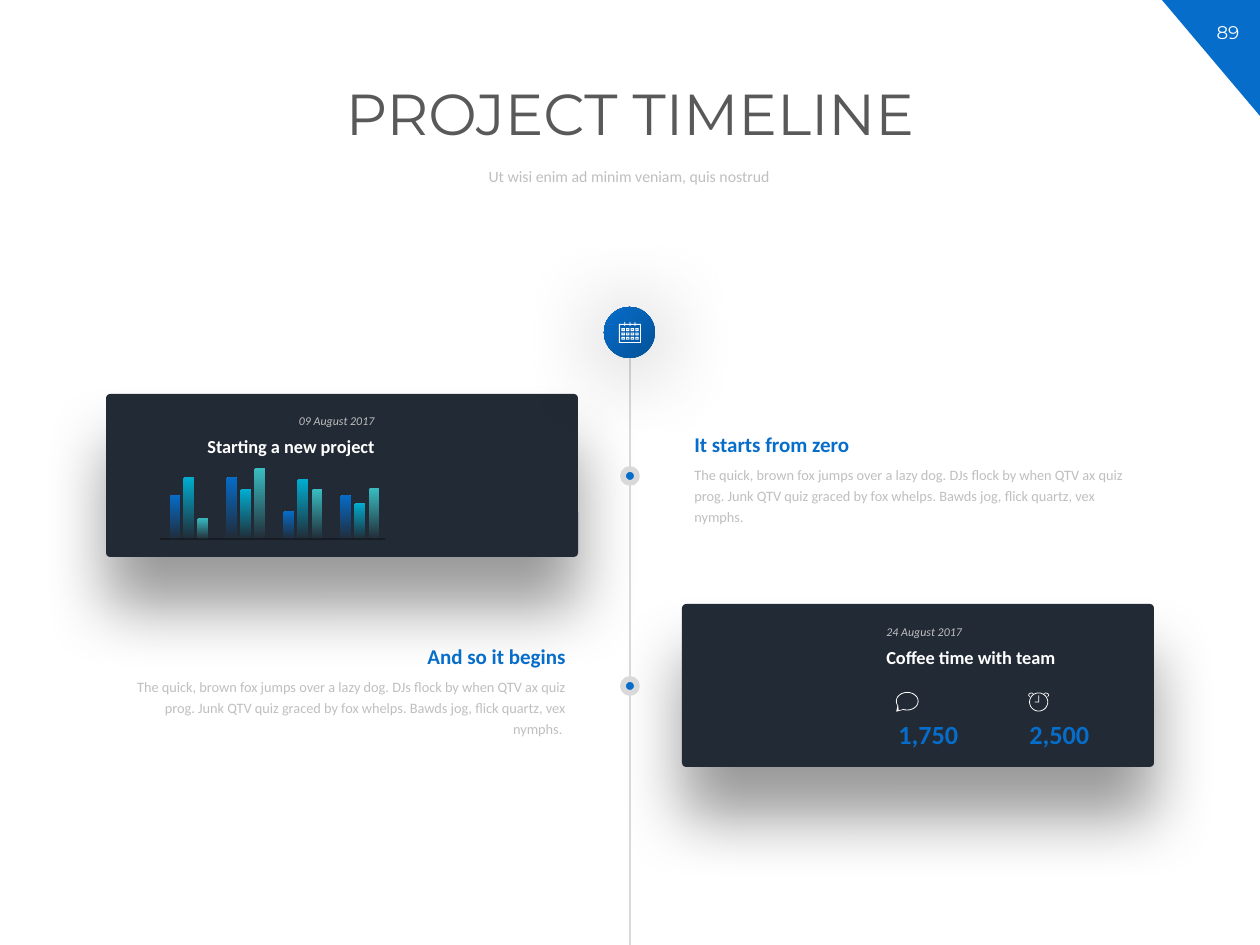
from math import cos, radians, sin

from lxml import etree
from pptx import Presentation
from pptx import util as u
from pptx.dml.color import RGBColor
from pptx.enum import shapes, text
from pptx.oxml import ns

PX = 914400 / 126
COLORS = {
    "blue": "066DCA", "deep blue": "055298", "cyan": "00B0D3", "teal": "3ABFC4",
    "card": "222A35", "baseline": "171C24", "heading": "595959",
    "muted": "BFBFBF", "rule": "D9D9D9", "white": "FFFFFF",
}
RGB = {name: RGBColor.from_string(value) for name, value in COLORS.items()}
LEFT, CENTER, RIGHT = text.PP_ALIGN.LEFT, text.PP_ALIGN.CENTER, text.PP_ALIGN.RIGHT
KIND = shapes.MSO_SHAPE

presentation = Presentation()
presentation.slide_width, presentation.slide_height = u.Inches(10), u.Inches(7.5)
slide = presentation.slides.add_slide(presentation.slide_layouts[6])


def add_text(words, box, size, color, align=LEFT, spacing=1.2, font="Calibri",
             bold=False, italic=False):
    text_box = slide.shapes.add_textbox(*(round(value * PX) for value in box))
    frame = text_box.text_frame
    frame.word_wrap = True
    paragraph = frame.paragraphs[0]
    paragraph.alignment, paragraph.line_spacing = align, spacing
    run = paragraph.add_run()
    run.text = words
    run.font.name, run.font.size = font, u.Pt(size)
    run.font.bold, run.font.italic = bold, italic
    run.font.color.rgb = RGB[color]
    return frame


def add_icon(contours, left, top):
    """Draw closed contours, given in tenths of a px, as one white outline."""
    builder = slide.shapes.build_freeform(*contours[0][0], scale=PX / 10)
    for index, contour in enumerate(contours):
        if index:
            builder.move_to(*contour[0])
        builder.add_line_segments(contour[1:], close=True)
    icon = builder.convert_to_shape(round(left * PX), round(top * PX))
    icon.shadow.inherit = False
    icon.fill.solid()
    icon.fill.fore_color.rgb = RGB["white"]
    icon.line.fill.background()


# Solid shapes: page corner and the two event cards
solids = []
for kind, box, color in (
    (KIND.RIGHT_TRIANGLE, (1162, 0, 98, 116), "blue"),
    (KIND.ROUNDED_RECTANGLE, (682, 604, 472, 163), "card"),
    (KIND.ROUNDED_RECTANGLE, (106, 394, 472, 163), "card"),
):
    shape = slide.shapes.add_shape(kind, *(round(value * PX) for value in box))
    shape.shadow.inherit = False
    shape.fill.solid()
    shape.fill.fore_color.rgb = RGB[color]
    shape.line.fill.background()
    solids.append(shape)
corner, *cards = solids
corner.rotation = 180
for card in cards:
    card.adjustments[0] = 0.026

# Timeline axis and chart baseline
for ends, color, width in (
    ((630, 333, 630, 945), "rule", 1.25),
    ((160, 539, 385, 539), "baseline", 1),
):
    line = slide.shapes.add_connector(
        shapes.MSO_CONNECTOR.STRAIGHT, *(round(value * PX) for value in ends))
    line.line.color.rgb = RGB[color]
    line.line.width = u.Pt(width)
    etree.SubElement(line._element.spPr, ns.qn("a:effectLst"))

# Timeline markers
for top in (469, 679):
    marker = slide.shapes.add_shape(
        KIND.OVAL, *(round(value * PX) for value in (623, top, 14, 14)))
    marker.shadow.inherit = False
    marker.fill.solid()
    marker.fill.fore_color.rgb = RGB["blue"]
    marker.line.color.rgb = RGB["rule"]
    marker.line.width = u.Pt(3.25)

# Titles and page number
add_text("89", (1196, 15, 64, 35), 10.5, "white", CENTER, 1, "Montserrat")
add_text("PROJECT TIMELINE", (72, 79, 1116, 92), 33, "heading", CENTER, 0.9, "Montserrat")
subtitle = add_text("Ut wisi enim ad minim veniam, quis nostrud",
                    (175, 161, 908, 33), 9, "muted", CENTER, 0.9)
subtitle.vertical_anchor = text.MSO_ANCHOR.MIDDLE

# Event descriptions
STORY = ("The quick, brown fox jumps over a lazy dog. DJs flock by when QTV ax quiz prog. "
         "Junk QTV quiz graced by fox whelps. Bawds jog, flick quartz, vex nymphs.")
for heading, story, left, top, align in (
    ("It starts from zero", STORY, 682, 420, LEFT),
    ("And so it begins", STORY + " ", 106, 632, RIGHT),
):
    add_text(heading, (left, top, 472, 43), 12, "blue", align, bold=True)
    add_text(story, (left, top + 37, 472, 76), 8.2, "muted", align)

# Card captions
for date, event, left, top, align in (
    ("09 August 2017", "Starting a new project", 121, 405, RIGHT),
    ("24 August 2017", "Coffee time with team", 874, 616, LEFT),
):
    add_text(date, (left, top, 266, 30), 6.8, "muted", align, italic=True)
    add_text(event, (left, top + 20, 266, 39), 10.5, "white", align, bold=True)
for count, left in (("1,750", 886), ("2,500", 1017)):
    add_text(count, (left, 712, 112, 44), 15, "blue", spacing=1, bold=True)

# Bars fading towards the baseline
BAR_HEIGHTS = ((43, 61, 20), (61, 49, 70), (27, 59, 49), (43, 35, 50))
for group, heights in enumerate(BAR_HEIGHTS):
    for series, (height, color) in enumerate(zip(heights, ("blue", "cyan", "teal"))):
        box = (170 + 57 * group + 14 * series, 539 - height, 9, height)
        bar = slide.shapes.add_shape(
            KIND.ROUND_2_SAME_RECTANGLE, *(round(value * PX) for value in box))
        bar.shadow.inherit = False
        bar.line.fill.background()
        bar.fill.gradient()
        bar.fill.gradient_angle = 270
        for stop in bar.fill.gradient_stops:
            stop.color.rgb = RGB[color]
        faded = bar._element.spPr.xpath(".//a:gradFill//a:srgbClr")[-1]
        etree.SubElement(faded, ns.qn("a:alpha"), val="0")

# Calendar badge with a radial gradient from its top left
badge = slide.shapes.add_shape(
    KIND.OVAL, *(round(value * PX) for value in (604, 307, 51, 51)))
badge.shadow.inherit = False
badge.line.fill.background()
badge.fill.gradient()
for stop, color in zip(badge.fill.gradient_stops, ("blue", "deep blue")):
    stop.color.rgb = RGB[color]
linear = badge._element.spPr.xpath(".//a:lin")[0]
radial = etree.Element(ns.qn("a:path"), path="circle")
etree.SubElement(radial, ns.qn("a:fillToRect"), r="100000", b="100000")
linear.getparent().replace(linear, radial)

# Soft shadows, blur and distance in points
for shape, blur, distance in ((cards[0], 37, 29), (cards[1], 37, 29), (badge, 50, 4)):
    effects = shape._element.spPr.find(ns.qn("a:effectLst"))
    shadow = etree.SubElement(
        effects, ns.qn("a:outerShdw"), blurRad=str(u.Pt(blur)), dist=str(u.Pt(distance)),
        dir="5400000", algn="t", rotWithShape="0")
    shade = etree.SubElement(shadow, ns.qn("a:srgbClr"), val="000000")
    etree.SubElement(shade, ns.qn("a:alpha"), val="40000")

# Calendar icon: frame, binder rings, then day cells with holes
rectangles = [(0, 20, 220, 190), (8, 28, 204, 174)]
for x in (55, 106, 157):
    rectangles += [(x, 0, 8, 20), (x, 28, 8, 12)]
for row in range(3):
    for column in range(4):
        x, y = 25 + 46 * column, 63 + 43 * row
        rectangles += [(x, y, 34, 28), (x + 11, y + 9, 12, 10)]
add_icon([[(x, y), (x + w, y), (x + w, y + h), (x, y + h)]
          for x, y, w, h in rectangles], 619, 322)

# Speech bubble icon
add_icon([[(113 + rx * cos(radians(a)), 92 + ry * sin(radians(a)))
           for a in range(150, 471, 10)] + [tail]
          for rx, ry, tail in ((113, 92, (3, 197)), (105, 84, (28, 184)))], 896, 692)

# Alarm clock icon: rim, hands and two mirrored bells
rim = [[(107 + r * cos(radians(a)), 100 + r * sin(radians(a)))
        for a in range(0, 360, 10)] for r in (95, 87)]
hands = [(103, 35), (111, 35), (111, 105), (68, 105), (68, 97), (103, 97)]
bell = [(15, 50), (2, 32), (10, 15), (35, 5), (55, 12),
        (50, 18), (35, 13), (16, 20), (10, 34), (20, 46)]
add_icon(rim + [hands, bell, [(214 - x, y) for x, y in bell]], 1028, 692)

presentation.save("out.pptx")
